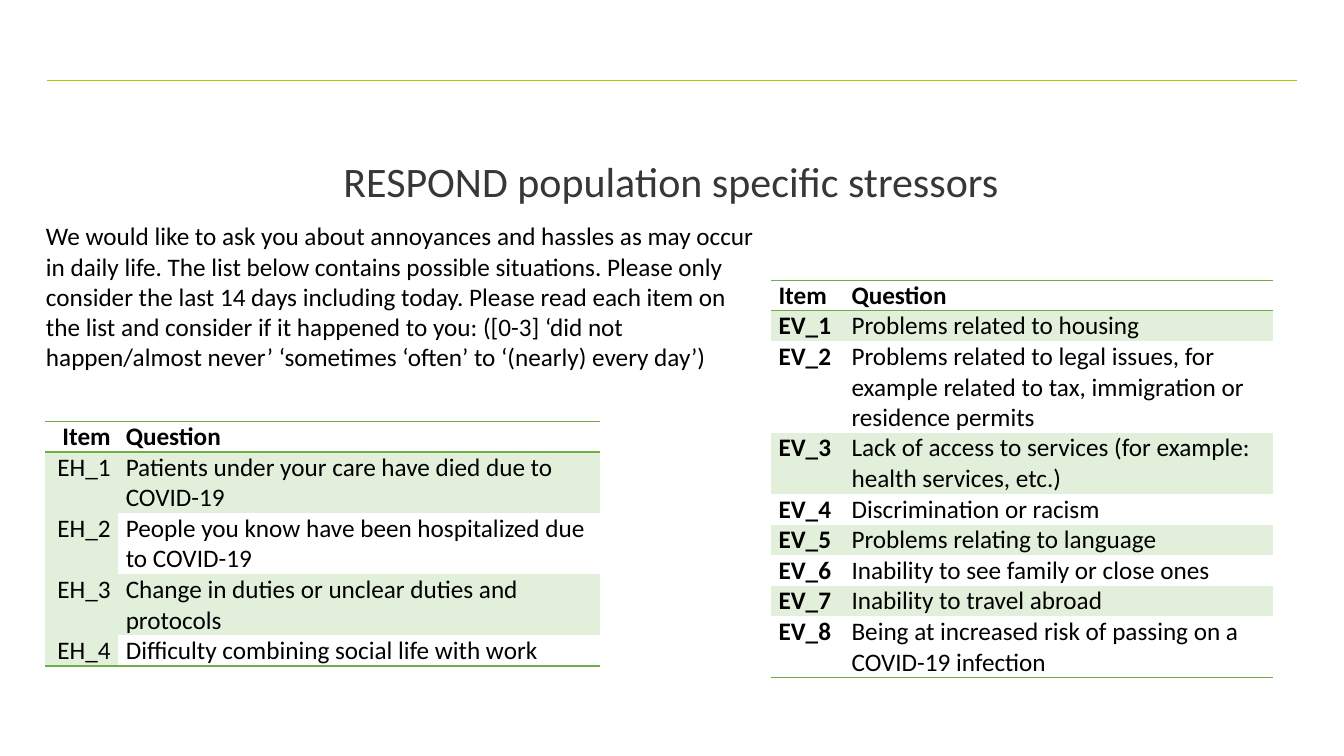
from pptx import Presentation
from pptx import util as u
from pptx.dml.color import RGBColor
from pptx.enum import shapes, text
from pptx.oxml import parse_xml
from pptx.oxml.ns import nsdecls

GREEN, PALE_GREEN, LIME = "70AD47", "E2EFDA", "B1C800"
BLACK, GREY = "000000", "373737"
LINE_HEIGHT = 0.77


def write(frame, content, size, color, bold=False, align=text.PP_ALIGN.LEFT):
    frame.word_wrap = True
    paragraph = frame.paragraphs[0]
    paragraph.text = content
    paragraph.alignment = align
    font = paragraph.font
    font.name, font.size, font.bold = "Calibri", u.Pt(size), bold
    font.color.rgb = RGBColor.from_string(color)


def set_borders(cell, green_sides):
    """Draw green lines on the named sides (L, R, T, B) and none on the others."""
    properties = cell._tc.get_or_add_tcPr()
    for side in "LRTB":
        paint = "<a:noFill/>"
        if side in green_sides:
            paint = f'<a:solidFill><a:srgbClr val="{GREEN}"/></a:solidFill>'
        properties.append(parse_xml(f'<a:ln{side} {nsdecls("a")} w="12700">{paint}</a:ln{side}>'))


presentation = Presentation()
presentation.slide_width, presentation.slide_height = u.Cm(33.87), u.Cm(19.05)
slide = presentation.slides.add_slide(presentation.slide_layouts[6])

rule = slide.shapes.add_connector(
    shapes.MSO_CONNECTOR.STRAIGHT, u.Cm(32.69), u.Cm(2.03), u.Cm(1.19), u.Cm(2.03))
rule.line.color.rgb = RGBColor.from_string(LIME)
rule.line.width = u.Pt(1.2)
rule._element.spPr.append(parse_xml(f'<a:effectLst {nsdecls("a")}/>'))

title = slide.shapes.add_textbox(u.Cm(1.19), u.Cm(3.51), u.Cm(31.45), u.Cm(1.4))
title.text_frame.margin_top = u.Cm(0.42)
write(title.text_frame, "RESPOND population specific stressors", 30, GREY,
      align=text.PP_ALIGN.CENTER)

intro = slide.shapes.add_textbox(u.Cm(0.91), u.Cm(5.41), u.Cm(18.52), u.Cm(4.11))
intro.text_frame.vertical_anchor = text.MSO_ANCHOR.MIDDLE
write(intro.text_frame,
      "We would like to ask you about annoyances and hassles as may occur in daily life. "
      "The list below contains possible situations. Please only consider the last 14 days "
      "including today. Please read each item on the list and consider if it happened to you: "
      "([0-3] ‘did not happen/almost never’ ‘sometimes ‘often’ to ‘(nearly) every day’)",
      18, BLACK)

# Each question is paired with the number of lines it takes up
hassles = [
    ("Patients under your care have died due to COVID-19", 2),
    ("People you know have been hospitalized due to COVID-19", 2),
    ("Change in duties or unclear duties and protocols", 2),
    ("Difficulty combining social life with work", 1),
]
events = [
    ("Problems related to housing", 1),
    ("Problems related to legal issues, for example related to tax, immigration "
     "or residence permits", 3),
    ("Lack of access to services (for example: health services, etc.)", 2),
    ("Discrimination or racism", 1),
    ("Problems relating to language", 1),
    ("Inability to see family or close ones", 1),
    ("Inability to travel abroad", 1),
    ("Being at increased risk of passing on a COVID-19 infection", 2),
]

# prefix, questions, left, top, column widths, item alignment, bold and shaded items
tables = [
    ("EH", hassles, 1.13, 10.62, (1.85, 12.14), text.PP_ALIGN.RIGHT, False, True),
    ("EV", events, 19.43, 7.06, (1.84, 10.8), text.PP_ALIGN.LEFT, True, False),
]
for prefix, questions, left, top, widths, item_align, bold_items, shaded_items in tables:
    rows = [("Item", "Question", 1)]
    rows += [(f"{prefix}_{number}", question, lines)
             for number, (question, lines) in enumerate(questions, 1)]
    height = LINE_HEIGHT * sum(lines for _, _, lines in rows)
    table = slide.shapes.add_table(
        len(rows), 2, u.Cm(left), u.Cm(top), u.Cm(sum(widths)), u.Cm(height)).table
    table.horz_banding = False
    for column, width in zip(table.columns, widths):
        column.width = u.Cm(width)

    for row, (item, question, lines) in enumerate(rows):
        table.rows[row].height = u.Cm(LINE_HEIGHT * lines)
        header, last = row == 0, row == len(rows) - 1
        sides = ("T" if row < 2 else "") + ("B" if header or last else "")
        for column, content in enumerate((item, question)):
            cell = table.cell(row, column)
            is_item = column == 0
            cell.margin_left = cell.margin_right = u.Cm(0.19)
            cell.margin_top = cell.margin_bottom = 0
            write(cell.text_frame, content, 18, BLACK,
                  bold=header or (is_item and bold_items),
                  align=item_align if is_item else text.PP_ALIGN.LEFT)
            set_borders(cell, sides)
            if row % 2 or (is_item and shaded_items and not header):
                cell.fill.solid()
                cell.fill.fore_color.rgb = RGBColor.from_string(PALE_GREEN)
            else:
                cell.fill.background()

presentation.save("out.pptx")
